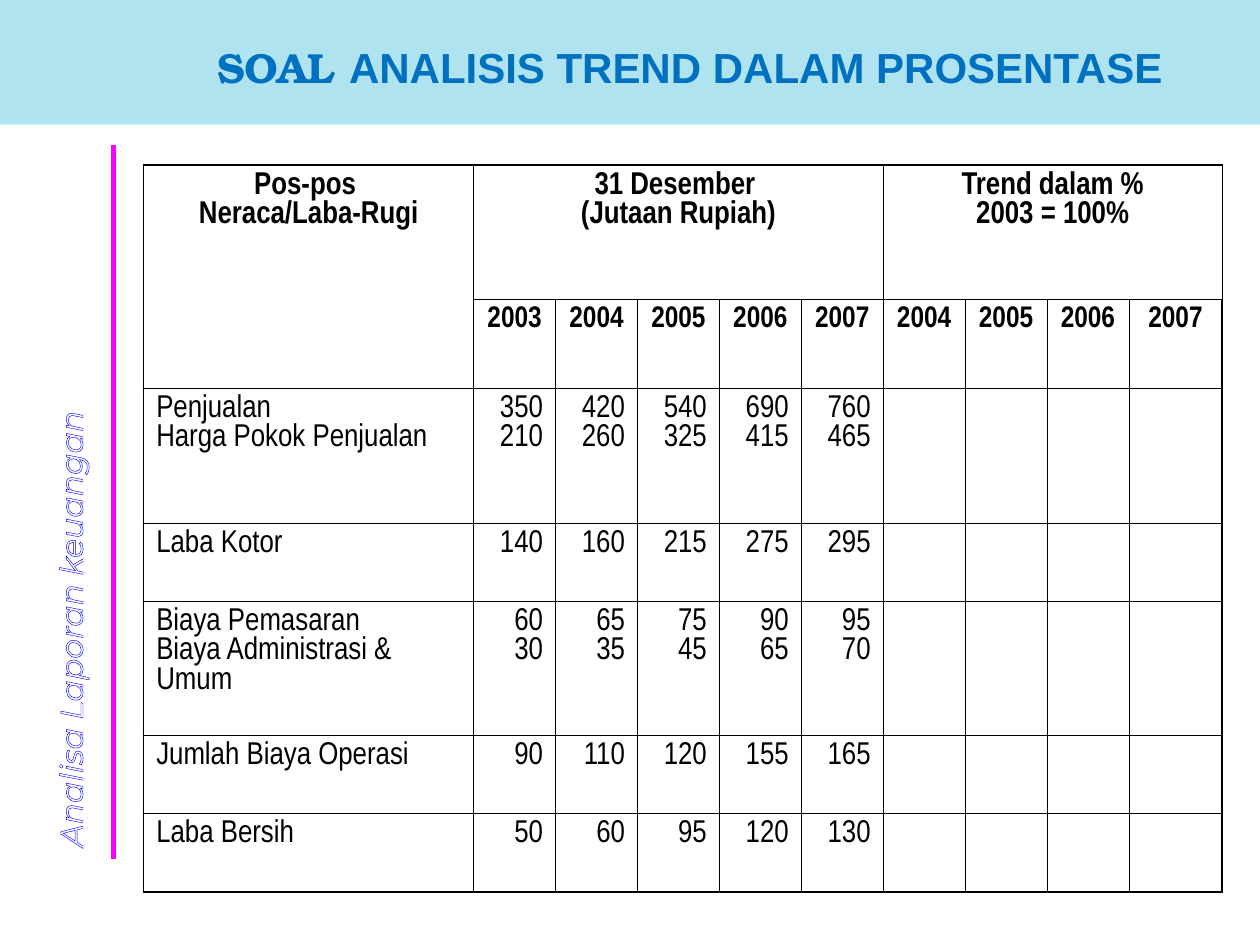
from lxml import etree
from pptx import Presentation
from pptx.dml.color import RGBColor
from pptx.enum.shapes import MSO_CONNECTOR, MSO_SHAPE
from pptx.enum.text import PP_ALIGN
from pptx.oxml.ns import qn
from pptx.util import Inches, Pt

LEFT, MID, RIGHT = PP_ALIGN.LEFT, PP_ALIGN.CENTER, PP_ALIGN.RIGHT
LINE, RECT = MSO_CONNECTOR.STRAIGHT, MSO_SHAPE.RECTANGLE

THEME = {
    "band": "AFE3EF", "title": "0070C0", "rule": "FF00FF", "side": "0000FF",
    "paper": "FFFFFF", "ink": "000000",
    "title_font": "TeX Gyre Bonum", "main_font": "Arial",
    "side_font": "Montserrat", "cell_font": "Arial Narrow",
    "title_size": 24, "size": 18, "year_size": 17,
    "thin": 0.45, "thick": 1.08, "outline": 0.75,
}

TITLE = ("SOAL ", "ANALISIS TREND DALAM PROSENTASE")
SIDE = "Analisa Laporan keuangan"
# first column, column span, row span, text
HEADS = [
    (0, 1, 2, "Pos-pos \nNeraca/Laba-Rugi"),
    (1, 5, 1, "31 Desember \n(Jutaan Rupiah)"),
    (6, 4, 1, "Trend dalam %\n2003 = 100%"),
]
YEARS = ["2003", "2004", "2005", "2006", "2007"]
ROWS = [
    ("Penjualan\nHarga Pokok Penjualan",
     ["350\n210", "420\n260", "540\n325", "690\n415", "760\n465"]),
    ("Laba Kotor", ["140", "160", "215", "275", "295"]),
    ("Biaya Pemasaran\nBiaya Administrasi & Umum",
     ["60\n30", "65\n35", "75\n45", "90\n65", "95\n70"]),
    ("Jumlah Biaya Operasi", ["90", "110", "120", "155", "165"]),
    ("Laba Bersih", ["50", "60", "95", "120", "130"]),
]
WIDTHS = [2.62] + [0.65] * 8 + [0.74]
HEIGHTS = [1.07, 0.7, 1.07, 0.62, 1.07, 0.62, 0.62]


def rgb(key):
    return RGBColor.from_string(THEME[key])


def style(run, font, size, color, bold=False):
    run.font.name = THEME[font]
    run.font.size = Pt(THEME[size])
    run.font.color.rgb = rgb(color)
    run.font.bold = bold


def stroke(node, tag, width, color, place):
    """Insert a solid line element at the given place in node."""
    line = etree.Element(qn(tag), w=str(Pt(width)))
    fill = etree.SubElement(line, qn("a:solidFill"))
    etree.SubElement(fill, qn("a:srgbClr"), val=THEME[color])
    node.insert(place, line)


def write(cell, text, align, size="size", bold=False):
    cell.text_frame.text = text
    for para in cell.text_frame.paragraphs:
        para.alignment = align
        for run in para.runs:
            style(run, "cell_font", size, "ink", bold)


def frame(cell, row, col):
    """Clear the fill and draw borders, thick on the table's outer edge."""
    cell.fill.background()
    edges = [("a:lnL", col == 0), ("a:lnR", col == len(WIDTHS) - 1),
             ("a:lnT", row == 0), ("a:lnB", row == len(HEIGHTS) - 1)]
    props = cell._tc.get_or_add_tcPr()
    for place, (tag, outer) in enumerate(edges):
        stroke(props, tag, THEME["thick" if outer else "thin"], "ink", place)


def add_box(slide, left, top, width, height, wrap):
    box = slide.shapes.add_textbox(*map(Inches, (left, top, width, height)))
    box.text_frame.word_wrap = wrap
    return box, box.text_frame.paragraphs[0]


def add_title(slide):
    band = slide.shapes.add_shape(RECT, 0, 0, Inches(10), Inches(0.99))
    band.shadow.inherit = False
    band.fill.solid()
    band.fill.fore_color.rgb = rgb("band")
    band.line.fill.background()
    _, para = add_box(slide, 1.38, 0.28, 8.19, 0.5, True)
    para.alignment = MID
    para.space_before = Pt(15)
    for text, font in zip(TITLE, ("title_font", "main_font")):
        run = para.add_run()
        run.text = text
        style(run, font, "title_size", "title", True)


def add_side(slide):
    box, para = add_box(slide, -2.27, 3.72, 5.73, 0.47, False)
    box.rotation = 270
    para.text = SIDE
    run = para.runs[0]
    style(run, "side_font", "size", "paper")
    run.font.italic = True
    stroke(run.font._element, "a:ln", THEME["outline"], "side", 0)
    rule = slide.shapes.add_connector(
        LINE, *map(Inches, (0.9, 1.15, 0.9, 6.82)))
    rule.line.color.rgb = rgb("rule")
    rule.line.width = Pt(3)
    etree.SubElement(rule._element.spPr, qn("a:effectLst"))


def add_grid(slide):
    grid = slide.shapes.add_table(
        len(HEIGHTS), len(WIDTHS), Inches(1.14), Inches(1.31),
        Inches(sum(WIDTHS)), Inches(sum(HEIGHTS))).table
    grid.first_row = grid.horz_banding = False
    for col, width in zip(grid.columns, WIDTHS):
        col.width = Inches(width)
    for row, height in zip(grid.rows, HEIGHTS):
        row.height = Inches(height)
    for row in range(len(HEIGHTS)):
        for col in range(len(WIDTHS)):
            frame(grid.cell(row, col), row, col)
    for col, wide, tall, text in HEADS:
        cell = grid.cell(0, col)
        cell.merge(grid.cell(tall - 1, col + wide - 1))
        write(cell, text, MID, bold=True)
    for col, year in enumerate(YEARS + YEARS[1:], 1):
        write(grid.cell(1, col), year, MID, "year_size", True)
    for row, (label, values) in enumerate(ROWS, 2):
        write(grid.cell(row, 0), label, LEFT)
        for col, value in enumerate(values, 1):
            write(grid.cell(row, col), value, RIGHT)


def main():
    deck = Presentation()
    deck.slide_width, deck.slide_height = Inches(10), Inches(7.5)
    slide = deck.slides.add_slide(deck.slide_layouts[6])
    add_title(slide)
    add_side(slide)
    add_grid(slide)
    deck.save("out.pptx")


if __name__ == "__main__":
    main()
